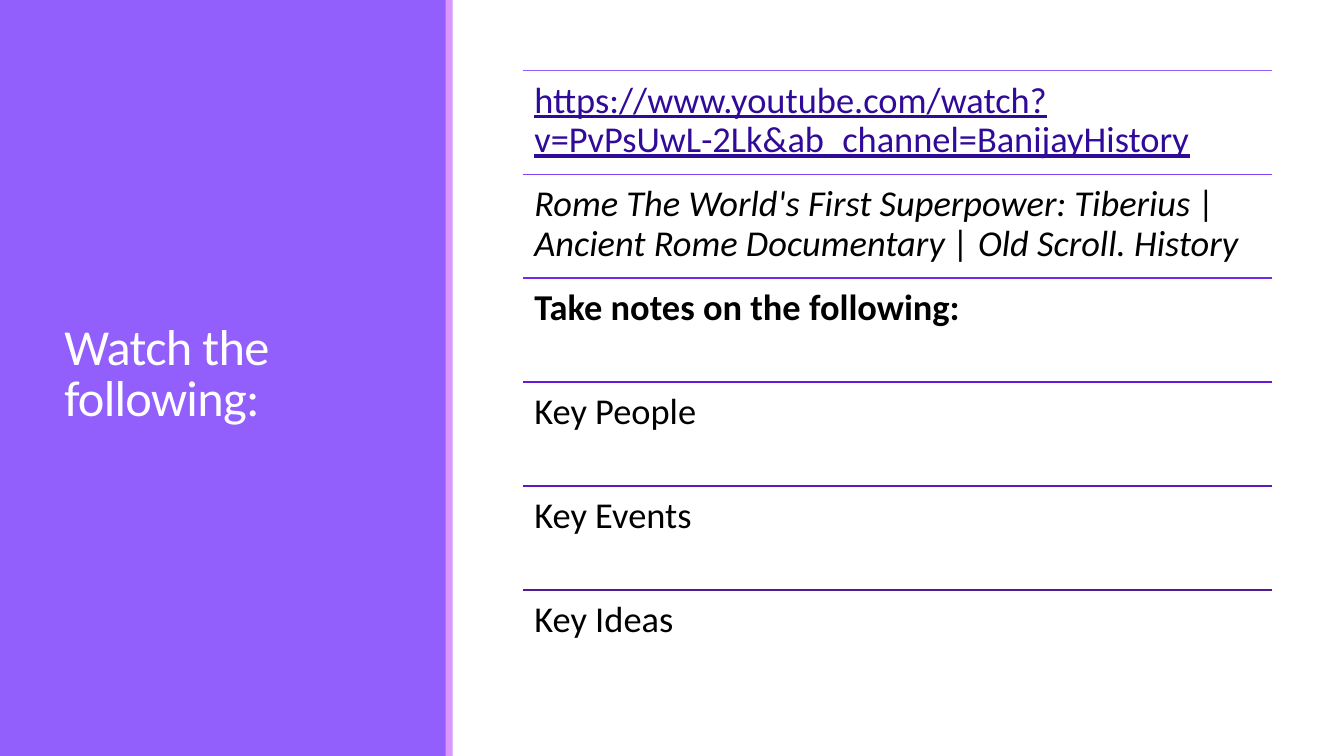
import dataclasses

import pptx
import pptx.dml.color
import pptx.enum.shapes
import pptx.enum.text
import pptx.oxml.ns
import pptx.util
from lxml import etree

TITLE = "Watch the following:"

# text, rule colour, font style
ROWS = [
    ("https://www.youtube.com/watch?v=PvPsUwL-2Lk&ab_channel=BanijayHistory", "925FFD", "link"),
    ("Rome The World's First Superpower: Tiberius | Ancient Rome Documentary | Old Scroll. History",
     "8142F7", "italic"),
    ("Take notes on the following:", "7327EF", "bold"),
    ("Key People", "6718DB", "plain"),
    ("Key Events", "5E1AB6", "plain"),
    ("Key Ideas", "521B92", "plain"),
]


@dataclasses.dataclass(frozen=True)
class Theme:
    font: str = "Calibri"
    title_size: int = 36
    row_size: int = 26
    rule_width: float = 1.25
    background: str = "FFFFFF"
    panel: str = "925FFD"
    stripe: str = "DA97FB"
    title: str = "FFFFFF"
    text: str = "000000"
    link: str = "300A99"


THEME = Theme()
WIDTH, HEIGHT = 13.33, 7.5
PANEL_WIDTH = 4.43
STRIPE_LEFT, STRIPE_WIDTH = 4.42, 0.07
LIST_LEFT, LIST_TOP, LIST_WIDTH, ROW_HEIGHT = 5.19, 0.7, 7.43, 1.03

inches = pptx.util.Inches
rgb = pptx.dml.color.RGBColor.from_string


def add_bar(slide, left, width, color):
    """Add a full-height filled rectangle."""
    bar = slide.shapes.add_shape(pptx.enum.shapes.MSO_SHAPE.RECTANGLE,
                                 inches(left), 0, inches(width), inches(HEIGHT))
    bar.shadow.inherit = False
    bar.fill.solid()
    bar.fill.fore_color.rgb = rgb(color)
    bar.line.fill.background()


def add_text(slide, box, text, size, color, line_spacing, insets, anchor):
    """Add a one-paragraph text box and return its run."""
    frame = slide.shapes.add_textbox(*map(inches, box)).text_frame
    frame.word_wrap = True
    frame.vertical_anchor = anchor
    frame.margin_left = frame.margin_right = inches(insets[0])
    frame.margin_top = frame.margin_bottom = inches(insets[1])
    paragraph = frame.paragraphs[0]
    paragraph.line_spacing = line_spacing
    run = paragraph.add_run()
    run.text = text
    run.font.name = THEME.font
    run.font.size = pptx.util.Pt(size)
    run.font.color.rgb = rgb(color)
    return run


def add_rule(slide, top, color):
    rule = slide.shapes.add_connector(
        pptx.enum.shapes.MSO_CONNECTOR.STRAIGHT,
        inches(LIST_LEFT), inches(top), inches(LIST_LEFT + LIST_WIDTH), inches(top))
    rule.line.color.rgb = rgb(color)
    rule.line.width = pptx.util.Pt(THEME.rule_width)
    properties = rule.element.find(pptx.oxml.ns.qn("p:spPr"))
    etree.SubElement(properties, pptx.oxml.ns.qn("a:effectLst"))


def add_row(slide, index, text, rule_color, style):
    top = LIST_TOP + index * ROW_HEIGHT
    add_rule(slide, top, rule_color)
    color = THEME.link if style == "link" else THEME.text
    run = add_text(slide, (LIST_LEFT, top, LIST_WIDTH, ROW_HEIGHT), text, THEME.row_size,
                   color, 0.9, (0.11, 0.11), pptx.enum.text.MSO_ANCHOR.TOP)
    run.font.underline = style == "link"
    run.font.italic = style == "italic"
    run.font.bold = style == "bold"


def main():
    presentation = pptx.Presentation()
    presentation.slide_width = inches(WIDTH)
    presentation.slide_height = inches(HEIGHT)
    slide = presentation.slides.add_slide(presentation.slide_layouts[6])
    slide.background.fill.solid()
    slide.background.fill.fore_color.rgb = rgb(THEME.background)

    add_bar(slide, 0, PANEL_WIDTH, THEME.panel)
    title = add_text(slide, (0.54, 0.57, 3.37, 6.31), TITLE, THEME.title_size, THEME.title,
                     0.85, (0.1, 0.05), pptx.enum.text.MSO_ANCHOR.MIDDLE)
    title.font._element.set("spc", "-50")
    add_bar(slide, STRIPE_LEFT, STRIPE_WIDTH, THEME.stripe)
    for index, row in enumerate(ROWS):
        add_row(slide, index, *row)

    presentation.save("out.pptx")


if __name__ == "__main__":
    main()
